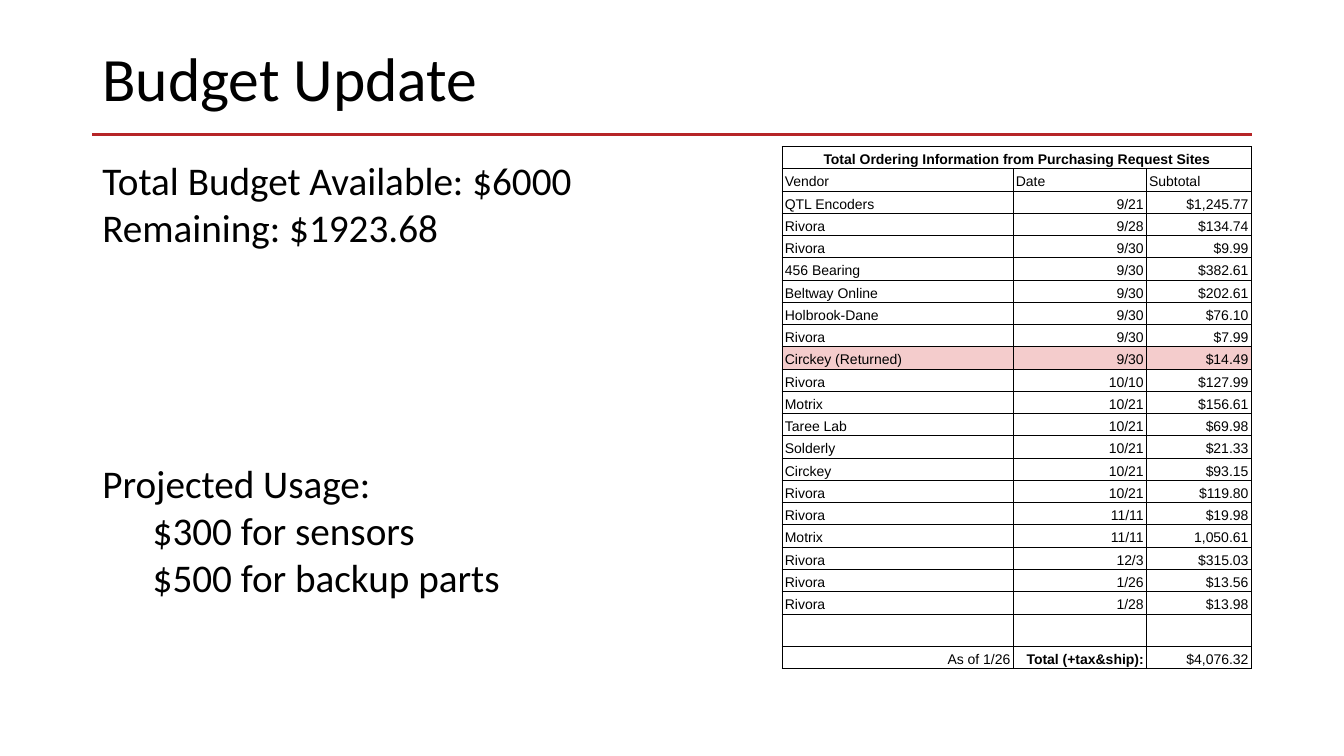
from lxml.etree import SubElement
from pptx import Presentation
from pptx.dml.color import RGBColor as RGB
from pptx.enum.shapes import MSO_CONNECTOR as CONN
from pptx.enum.text import MSO_ANCHOR as ANCHOR, PP_ALIGN as ALIGN
from pptx.oxml import parse_xml
from pptx.oxml.ns import nsdecls, qn
from pptx.util import Cm, Pt

THEME = {
    "text": RGB.from_string("000000"),
    "rule": RGB.from_string("B62527"),
    "returned": RGB.from_string("F4CCCC"),
    "border": "000000",
    "body_font": "Calibri",
    "table_font": "Arial",
    "title_size": Pt(44),
    "body_size": Pt(28),
    "table_size": Pt(10),
    "rule_width": Pt(2.25),
    "border_width": Pt(0.75),
}


def add_run(p, text, font, size, bold=False):
    r = p.add_run()
    r.text = text
    r.font.name = font
    r.font.size = size
    r.font.bold = bold
    r.font.color.rgb = THEME["text"]


def add_text(s, top, width, height, lines, size, inset, anchor, spacing):
    sp = s.shapes.add_textbox(Cm(2.33), Cm(top), Cm(width), Cm(height))
    tf = sp.text_frame
    tf.word_wrap = True
    tf.vertical_anchor = anchor
    tf.margin_left = tf.margin_right = Cm(0.25)
    tf.margin_top = tf.margin_bottom = Cm(inset)
    for i, (text, indent) in enumerate(lines):
        p = tf.paragraphs[0] if i == 0 else tf.add_paragraph()
        p.line_spacing = spacing
        p._p.get_or_add_pPr().set("marL", str(Cm(indent)))
        add_run(p, text, THEME["body_font"], size)


prs = Presentation()
prs.slide_width, prs.slide_height = Cm(33.87), Cm(19.05)
s = prs.slides.add_slide(prs.slide_layouts[6])

rule = s.shapes.add_connector(CONN.STRAIGHT, Cm(2.33), Cm(3.39), Cm(31.54), Cm(3.39))
rule.line.color.rgb = THEME["rule"]
rule.line.width = THEME["rule_width"]
SubElement(rule._element.spPr, qn("a:effectLst"))

add_text(s, 1.02, 29.21, 2.08, [("Budget Update", 0)], THEME["title_size"], 0.13, ANCHOR.MIDDLE, 0.9)

budget = [("Total Budget Available: $6000", 0), ("Remaining: $1923.68", 0)]
usage = [("Projected Usage:", 0), ("$300 for sensors", 1.27), ("$500 for backup parts", 1.27)]
for top, height, lines in [(3.68, 7.62, budget), (11.32, 3.45, usage)]:
    add_text(s, top, 14.15, height, lines, THEME["body_size"], 0.25, ANCHOR.TOP, 1.0)

orders = [
    ("Total Ordering Information from Purchasing Request Sites", "", ""),
    ("Vendor", "Date", "Subtotal"),
    ("QTL Encoders", "9/21", "$1,245.77"),
    ("Rivora", "9/28", "$134.74"),
    ("Rivora", "9/30", "$9.99"),
    ("456 Bearing", "9/30", "$382.61"),
    ("Beltway Online", "9/30", "$202.61"),
    ("Holbrook-Dane", "9/30", "$76.10"),
    ("Rivora", "9/30", "$7.99"),
    ("Circkey (Returned)", "9/30", "$14.49"),
    ("Rivora", "10/10", "$127.99"),
    ("Motrix", "10/21", "$156.61"),
    ("Taree Lab", "10/21", "$69.98"),
    ("Solderly", "10/21", "$21.33"),
    ("Circkey", "10/21", "$93.15"),
    ("Rivora", "10/21", "$119.80"),
    ("Rivora", "11/11", "$19.98"),
    ("Motrix", "11/11", "1,050.61"),
    ("Rivora", "12/3", "$315.03"),
    ("Rivora", "1/26", "$13.56"),
    ("Rivora", "1/28", "$13.98"),
    ("", "", ""),
    ("As of 1/26", "Total (+tax&ship):", "$4,076.32"),
]
total_row = len(orders) - 1
blank_row = total_row - 1
row_height = Cm(12.35 / total_row)
widths = [5.82, 3.36, 2.64]

frame = s.shapes.add_table(len(orders), len(widths), Cm(19.71), Cm(3.69), Cm(sum(widths)), Cm(13.16))
table = frame.table
table.first_row = table.horz_banding = False
for column, width in zip(table.columns, widths):
    column.width = Cm(width)

for i, order in enumerate(orders):
    table.rows[i].height = Cm(0.81) if i == blank_row else row_height
    for j, text in enumerate(order):
        cell = table.cell(i, j)
        cell.vertical_anchor = ANCHOR.BOTTOM
        cell.margin_left = cell.margin_right = Cm(0.07)
        cell.margin_top = cell.margin_bottom = Cm(0.03)
        for side in ("lnL", "lnR", "lnT", "lnB"):
            cell._tc.get_or_add_tcPr().append(parse_xml(
                f'<a:{side} {nsdecls("a")} w="{THEME["border_width"]}"><a:solidFill>'
                f'<a:srgbClr val="{THEME["border"]}"/></a:solidFill></a:{side}>'))
        if "(Returned)" in order[0]:
            cell.fill.solid()
            cell.fill.fore_color.rgb = THEME["returned"]
        else:
            cell.fill.background()
        if text:
            p = cell.text_frame.paragraphs[0]
            p.line_spacing = 1.15
            if i == 0:
                p.alignment = ALIGN.CENTER
            elif i == total_row or (i > 1 and j > 0):
                p.alignment = ALIGN.RIGHT
            bold = i == 0 or (i == total_row and j == 1)
            add_run(p, text, THEME["table_font"], THEME["table_size"], bold)
table.cell(0, 0).merge(table.cell(0, 2))

prs.save("out.pptx")
